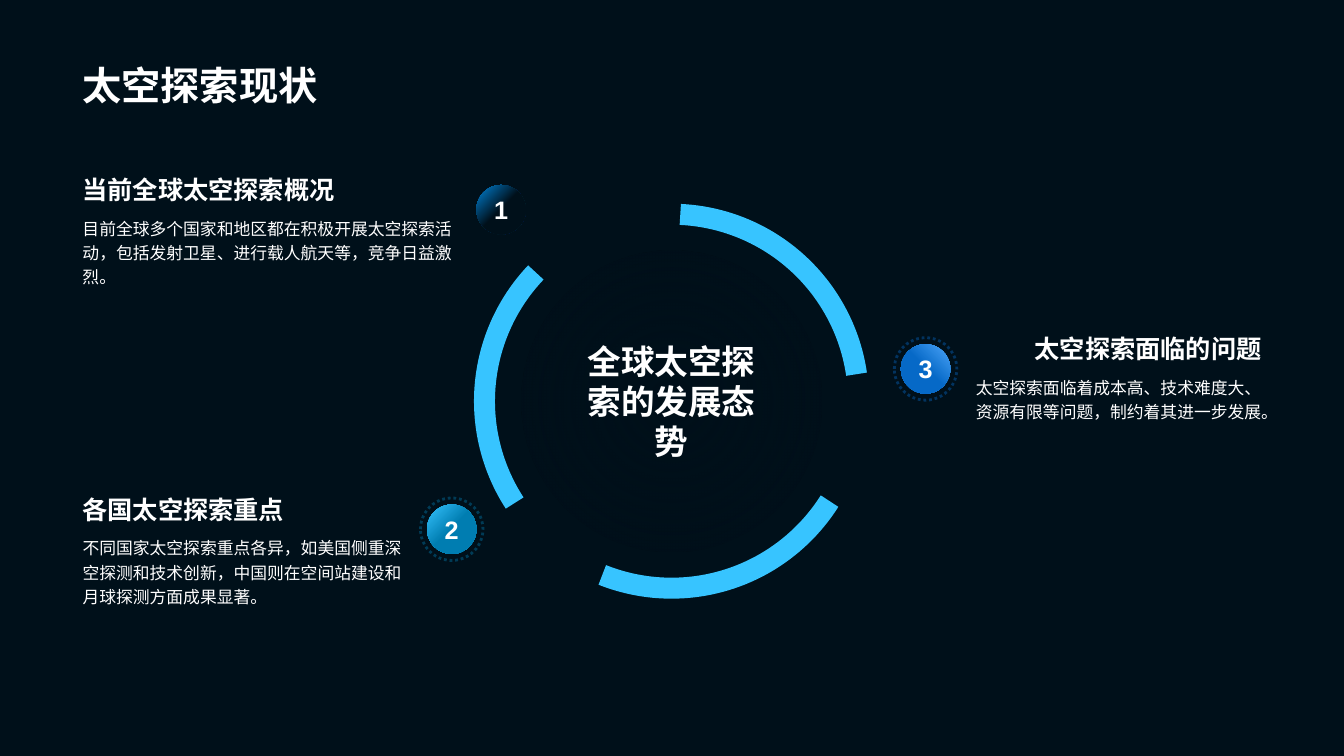
import pptx
import pptx.util
import pptx.dml.color
import pptx.enum.dml
import pptx.enum.shapes
import pptx.enum.text
import pptx.oxml
import pptx.oxml.ns
from pptx.util import Inches

TITLE = "太空探索现状"
CENTER_TEXT = "全球太空探索的发展态势"
TOPICS = [
    {"number": "1", "heading": "当前全球太空探索概况",
     "body": "目前全球多个国家和地区都在积极开展太空探索活动，包括发射卫星、进行载人航天等，竞争日益激烈。",
     "left": 0.72, "width": 3.9, "badge": (4.97, 2.08), "align": "left",
     "light": "0087DC", "dark": "00101A", "angle": 45},
    {"number": "2", "heading": "各国太空探索重点",
     "body": "不同国家太空探索重点各异，如美国侧重深空探测和技术创新，中国则在空间站建设和月球探测方面成果显著。",
     "left": 0.72, "width": 3.42, "badge": (4.48, 5.25), "align": "left",
     "light": "37C4FF", "dark": "007DB1", "angle": 45},
    {"number": "3", "heading": "太空探索面临的问题",
     "body": "太空探索面临着成本高、技术难度大、资源有限等问题，制约着其进一步发展。",
     "left": 9.54, "width": 3.07, "badge": (9.18, 3.66), "align": "right",
     "light": "4DA6FA", "dark": "0669C7", "angle": 135},
]
ARC_ANGLES = [(147, 223.5), (32.3, 111.7), (272.7, 351.7)]
CYCLE_CENTER = (6.66, 3.98)
ORBIT_SIZES = (5.11, 3.71)
ARC_SIZE = 3.71
CORE_SIZE = 2.98
RING_SIZE = 0.62
BADGE_SIZE = 0.49
HEADING_HEIGHT = 0.85
BODY_HEIGHT = 1.46

THEME = {
    "font": "Arial", "background": "00101A", "text": "FFFFFF", "arc": "37C4FF",
    "title": 28, "center": 24, "heading": 18, "number": 18, "body": 12,
    "arc_width": 15, "ring_width": 2, "ring_alpha": 40,
}
ALIGN = {
    "left": pptx.enum.text.PP_ALIGN.LEFT,
    "center": pptx.enum.text.PP_ALIGN.CENTER,
    "right": pptx.enum.text.PP_ALIGN.RIGHT,
}
ANCHOR = pptx.enum.text.MSO_ANCHOR
SHAPE = pptx.enum.shapes.MSO_SHAPE


def color(value):
    return pptx.dml.color.RGBColor.from_string(value)


def write(shape, text, role, align="left", anchor=ANCHOR.TOP, spacing=None):
    frame = shape.text_frame
    frame.word_wrap = True
    frame.vertical_anchor = anchor
    paragraph = frame.paragraphs[0]
    paragraph.alignment = ALIGN[align]
    if spacing:
        paragraph.line_spacing = spacing
    run = paragraph.add_run()
    run.text = text
    run.font.name = THEME["font"]
    run.font.size = pptx.util.Pt(THEME[role])
    run.font.bold = role != "body"
    run.font.color.rgb = color(THEME["text"])


def add_text(slide, left, top, width, height, *text_options, **named_options):
    box = slide.shapes.add_textbox(Inches(left), Inches(top), Inches(width), Inches(height))
    write(box, *text_options, **named_options)


def add_centered(slide, kind, center, size):
    left, top = (value - size / 2 for value in center)
    shape = slide.shapes.add_shape(
        kind, Inches(left), Inches(top), Inches(size), Inches(size))
    shape.shadow.inherit = False
    shape.fill.background()
    shape.line.fill.background()
    return shape


def set_gradient(shape, stops, direction):
    stop_xml = "".join(
        f'<a:gs pos="{position * 1000}"><a:srgbClr val="{value}">'
        f'<a:alpha val="{alpha * 1000}"/></a:srgbClr></a:gs>'
        for position, value, alpha in stops)
    gradient = pptx.oxml.parse_xml(
        f'<a:gradFill {pptx.oxml.ns.nsdecls("a")} rotWithShape="1">'
        f'<a:gsLst>{stop_xml}</a:gsLst>{direction}</a:gradFill>')
    properties = shape.element.spPr
    no_fill = properties.find(pptx.oxml.ns.qn("a:noFill"))
    properties.replace(no_fill, gradient)


def add_dotted_ring(slide, center, size, value):
    ring = add_centered(slide, SHAPE.OVAL, center, size)
    ring.line.color.rgb = color(value)
    ring.line.width = pptx.util.Pt(THEME["ring_width"])
    ring.line.dash_style = pptx.enum.dml.MSO_LINE.ROUND_DOT
    line_color = ring.element.spPr.find(
        "/".join(pptx.oxml.ns.qn(tag) for tag in ("a:ln", "a:solidFill", "a:srgbClr")))
    line_color.append(pptx.oxml.parse_xml(
        f'<a:alpha {pptx.oxml.ns.nsdecls("a")} val="{THEME["ring_alpha"] * 1000}"/>'))


def add_cycle(slide):
    for size in ORBIT_SIZES:
        add_dotted_ring(slide, CYCLE_CENTER, size, THEME["background"])
    for angles in ARC_ANGLES:
        arc = add_centered(slide, SHAPE.ARC, CYCLE_CENTER, ARC_SIZE)
        for index, degrees in enumerate(angles):
            arc.adjustments[index] = degrees * 0.6
        arc.line.color.rgb = color(THEME["arc"])
        arc.line.width = pptx.util.Pt(THEME["arc_width"])
    core = add_centered(slide, SHAPE.OVAL, CYCLE_CENTER, CORE_SIZE)
    set_gradient(
        core, [(0, THEME["background"], 0), (72, THEME["background"], 60)],
        '<a:path path="circle"><a:fillToRect l="50000" t="50000" r="50000" b="50000"/></a:path>')
    write(core, CENTER_TEXT, "center", "center", ANCHOR.MIDDLE)


def add_topic(slide, topic):
    left, width, align = topic["left"], topic["width"], topic["align"]
    middle = topic["badge"][1]
    add_text(slide, left, middle, width, BODY_HEIGHT,
             topic["body"], "body", align, spacing=1.2)
    add_text(slide, left, middle - HEADING_HEIGHT, width, HEADING_HEIGHT,
             topic["heading"], "heading", align, ANCHOR.BOTTOM)
    add_dotted_ring(slide, topic["badge"], RING_SIZE, topic["dark"])
    badge = add_centered(slide, SHAPE.OVAL, topic["badge"], BADGE_SIZE)
    set_gradient(badge, [(0, topic["light"], 100), (50, topic["dark"], 100)],
                 f'<a:lin ang="{topic["angle"] * 60000}" scaled="0"/>')
    write(badge, topic["number"], "number", "center", ANCHOR.MIDDLE)
    frame = badge.text_frame
    frame.word_wrap = False
    frame.margin_left = frame.margin_right = Inches(0.12)
    frame.margin_top = frame.margin_bottom = Inches(0.12)


def main():
    presentation = pptx.Presentation()
    presentation.slide_width = Inches(13.33)
    presentation.slide_height = Inches(7.5)
    slide = presentation.slides.add_slide(presentation.slide_layouts[6])
    slide.background.fill.solid()
    slide.background.fill.fore_color.rgb = color(THEME["background"])
    add_text(slide, 0.72, 0.14, 11.88, 0.98, TITLE, "title", anchor=ANCHOR.BOTTOM)
    add_cycle(slide)
    for topic in TOPICS:
        add_topic(slide, topic)
    presentation.save("out.pptx")


if __name__ == "__main__":
    main()
